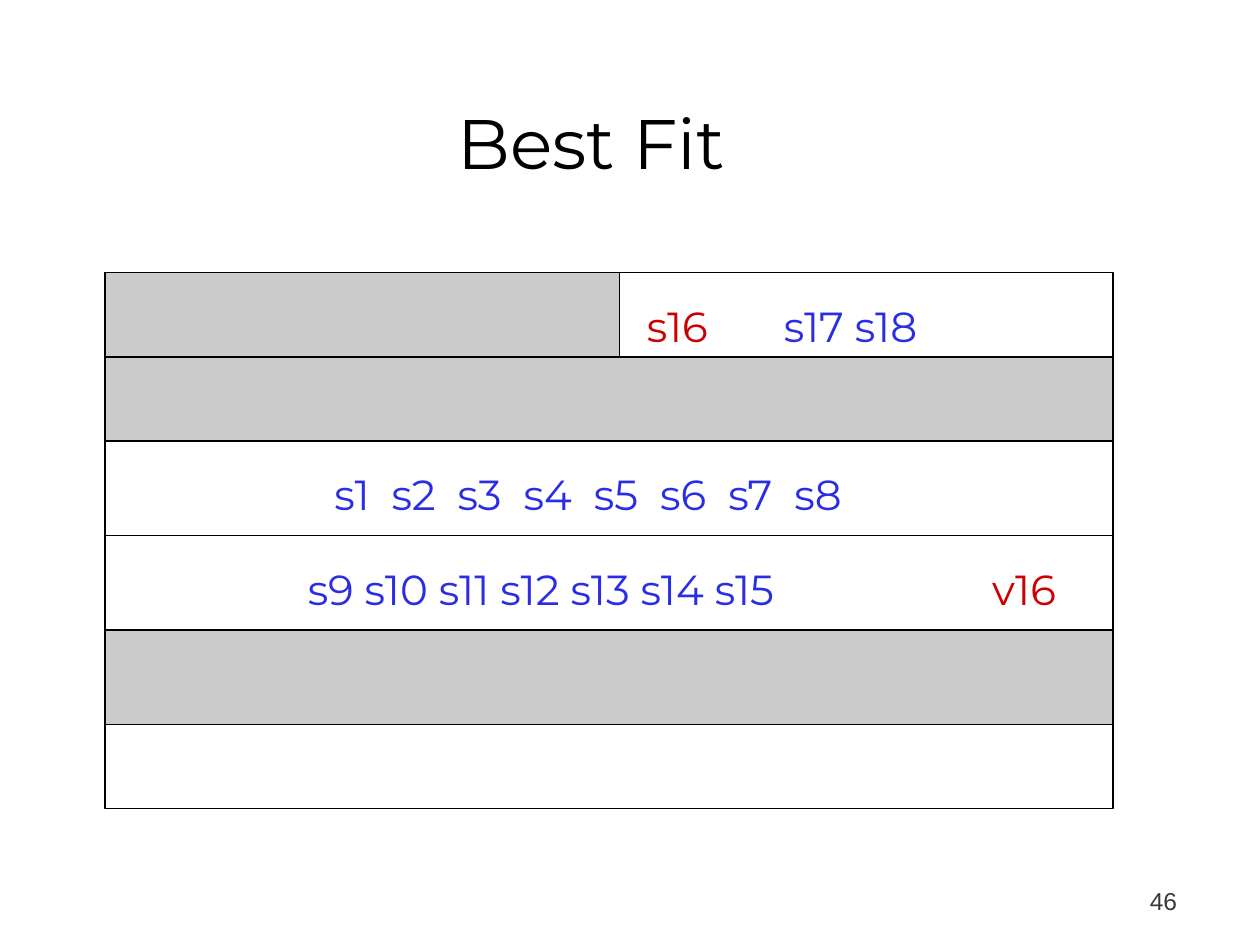
import pptx
import pptx.dml.color
import pptx.enum.shapes
import pptx.enum.text
import pptx.oxml
import pptx.util

Cm, Pt = pptx.util.Cm, pptx.util.Pt
Align = pptx.enum.text.PP_ALIGN
Anchor = pptx.enum.text.MSO_ANCHOR

LEFT, WIDTH = 2.12, 20.32
ROWS = [5.5, 7.2, 8.89, 10.8, 12.7, 14.61, 16.3]
BLUE, RED, GRAY = "292DE3", "CC0000", "CBCBCB"


def color(code):
    return pptx.dml.color.RGBColor.from_string(code)


class Page:
    """Holds the style and the current slide."""
    font, ink, thin = "Montserrat", "000000", 0.75

    def __init__(self, deck):
        self.slide = deck.slides.add_slide(deck.slide_layouts[5])
        self.shapes = self.slide.shapes

    def put(self, frame, text, size, ink, font=None, align=Align.CENTER):
        """Fill a text frame with one styled paragraph."""
        frame.text = text
        para = frame.paragraphs[0]
        para.alignment = align
        para.font.size = Pt(size)
        para.font.name = font or self.font
        para.font.color.rgb = color(ink)

    def title(self, text, x, y, w, h):
        box = self.shapes.title
        box.left, box.top, box.width, box.height = map(Cm, (x, y, w, h))
        frame = box.text_frame
        frame.auto_size = pptx.enum.text.MSO_AUTO_SIZE.NONE
        frame.vertical_anchor = Anchor.BOTTOM
        self.put(frame, text, 40, self.ink)

    def edge(self, line):
        line.color.rgb = color(self.ink)
        line.width = Pt(self.thin)

    def rect(self, y, end, w=WIDTH, fill=GRAY):
        kind = pptx.enum.shapes.MSO_SHAPE.RECTANGLE
        box = self.shapes.add_shape(kind, Cm(LEFT), Cm(y), Cm(w), Cm(end - y))
        box.shadow.inherit = False
        box.fill.solid()
        box.fill.fore_color.rgb = color(fill)
        self.edge(box.line)

    def rule(self, y):
        kind = pptx.enum.shapes.MSO_CONNECTOR.STRAIGHT
        line = self.shapes.add_connector(
            kind, Cm(LEFT), Cm(y), Cm(LEFT + WIDTH), Cm(y))
        self.edge(line.line)
        props = line._element.spPr
        props.append(pptx.oxml.parse_xml(
            '<a:effectLst xmlns:a='
            '"http://schemas.openxmlformats.org/drawingml/2006/main"/>'))

    def label(self, text, x, y, w, ink):
        box = self.shapes.add_textbox(Cm(x), Cm(y), Cm(w), Cm(1.09))
        box.text_frame.word_wrap = False
        self.put(box.text_frame, text, 24, ink)

    def number(self, text, x, y, w, h):
        box = self.shapes.add_textbox(Cm(x), Cm(y), Cm(w), Cm(h))
        frame = box.text_frame
        frame.word_wrap = True
        frame.vertical_anchor = Anchor.BOTTOM
        self.put(frame, text, 14, "393939", "Arial", Align.RIGHT)


def main():
    deck = pptx.Presentation()
    deck.slide_width, deck.slide_height = Cm(25.4), Cm(19.05)
    page = Page(deck)
    page.title("Best Fit", 1.12, 0.64, 21.59, 3.18)

    page.rect(ROWS[0], ROWS[-1], fill="FFFFFF")
    for y in ROWS[1:-1]:
        page.rule(y)
    for row, w in ((1, WIDTH), (0, 10.37), (4, WIDTH)):
        page.rect(ROWS[row], ROWS[row + 1], w)

    for text, x, row, w, ink in (
        ("s1  s2  s3  s4  s5  s6  s7  s8", 2.33, 2, 19.05, BLUE),
        ("s9 s10 s11 s12 s13 s14 s15", 2.33, 3, 17.15, BLUE),
        ("s17 s18", 15.03, 0, 4.23, BLUE),
        ("v16", 19.69, 3, 1.91, RED),
        ("s16", 12.7, 0, 1.91, RED),
    ):
        page.label(text, x, ROWS[row] + 0.43, w, ink)

    page.number("46", 18.7, 17.3, 5.28, 1.27)
    deck.save("out.pptx")


if __name__ == "__main__":
    main()
